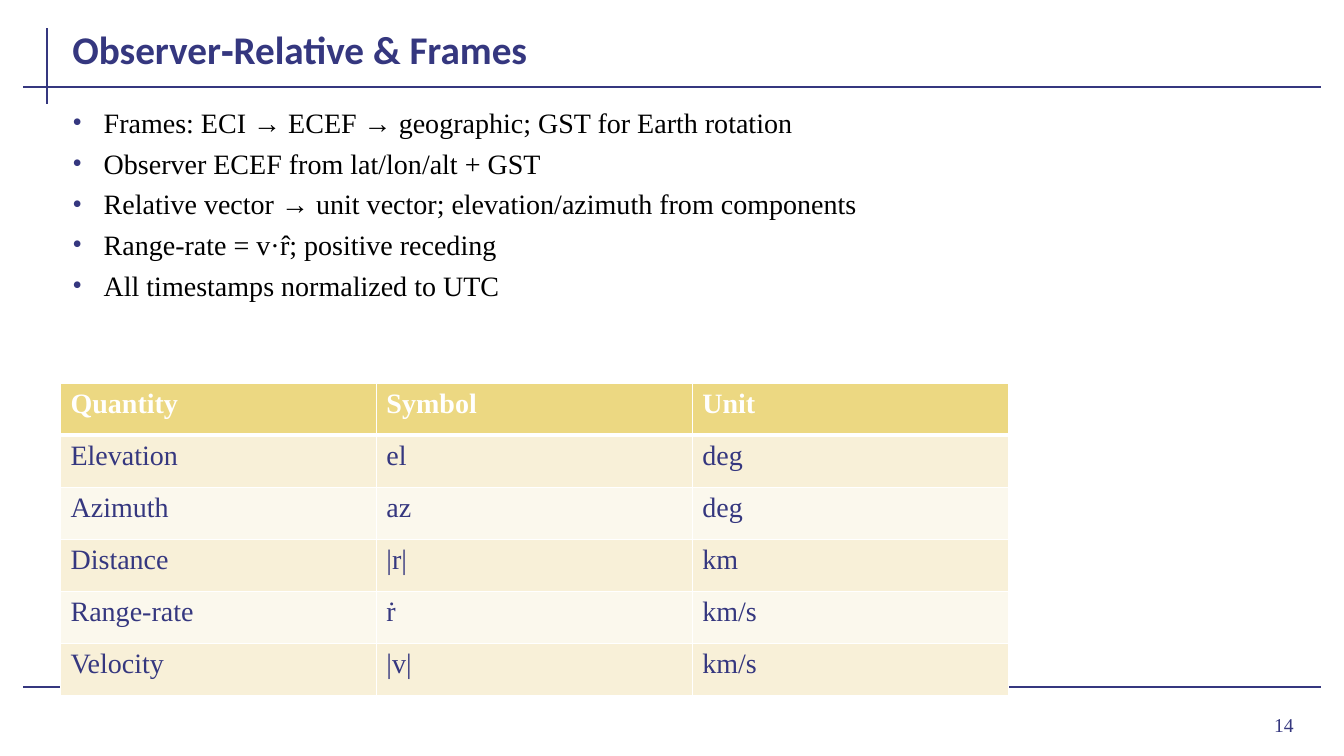
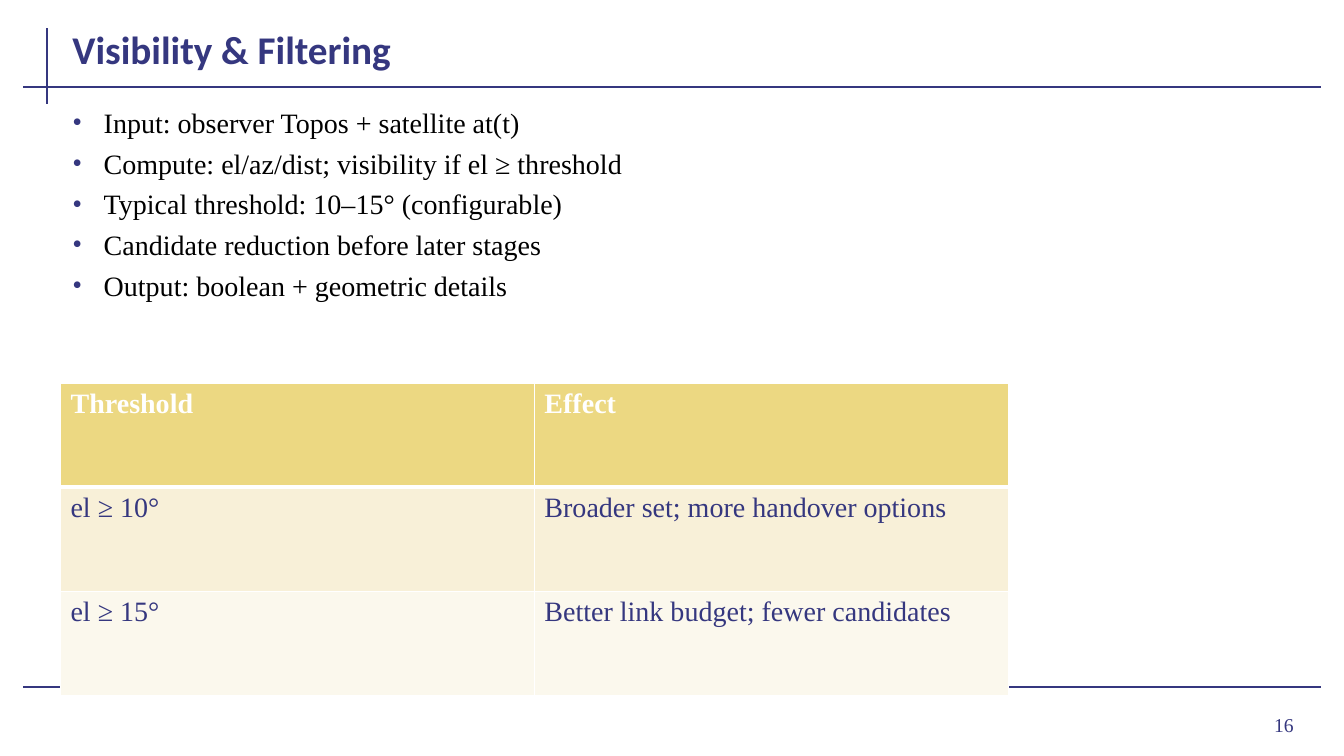
from dataclasses import dataclass

from lxml import etree
from pptx import Presentation
from pptx.dml.color import RGBColor
from pptx.enum.shapes import MSO_CONNECTOR
from pptx.enum.text import MSO_ANCHOR, PP_ALIGN
from pptx.oxml.ns import qn
from pptx.util import Inches, Pt

NAVY = RGBColor(0x35, 0x37, 0x7F)
BLACK = RGBColor(0x00, 0x00, 0x00)
WHITE = RGBColor(0xFF, 0xFF, 0xFF)
GOLD = RGBColor(0xEC, 0xD8, 0x82)
SAND = RGBColor(0xF8, 0xF0, 0xD8)
CREAM = RGBColor(0xFB, 0xF8, 0xED)

SANS, SERIF = "Calibri", "Times New Roman"
STRAIGHT = MSO_CONNECTOR.STRAIGHT
TOP, MIDDLE, BOTTOM = MSO_ANCHOR.TOP, MSO_ANCHOR.MIDDLE, MSO_ANCHOR.BOTTOM
LEFT, RIGHT = PP_ALIGN.LEFT, PP_ALIGN.RIGHT

WIDE, HIGH = 13.33, 7.5
INDENT = 0.31
TABLE = (0.6, 3.8, 9.4, 3.1)


@dataclass(frozen=True)
class Style:
    font: str
    size: int
    color: RGBColor
    bold: bool = False


@dataclass(frozen=True)
class Rule:
    x1: float
    y1: float
    x2: float
    y2: float


@dataclass(frozen=True)
class Box:
    left: float
    top: float
    width: float
    height: float
    style: Style
    anchor: MSO_ANCHOR = TOP
    align: PP_ALIGN = LEFT
    bullet: bool = False


@dataclass(frozen=True)
class Page:
    number: int
    title: str
    points: list[str]
    rows: list[list[str]]


HEAD = Style(SERIF, 20, WHITE, bold=True)
CELL = Style(SERIF, 20, NAVY)

RULES = [
    Rule(0.47, 0.28, 0.47, 1.03),
    Rule(0.23, 0.86, 13.1, 0.86),
    Rule(0.23, 6.82, 13.1, 6.82),
]
NUMBER = Box(11.96, 6.93, 0.97, 0.52, Style(SERIF, 14, NAVY), MIDDLE, RIGHT)
TITLE = Box(0.62, 0.15, 12.49, 0.62, Style(SANS, 28, NAVY, bold=True), BOTTOM)
BODY = Box(0.62, 1, 12.49, 5.68, Style(SERIF, 20, BLACK), bullet=True)

PAGES = [
    Page(
        14,
        "Observer‑Relative & Frames",
        [
            "Frames: ECI → ECEF → geographic; GST for Earth rotation",
            "Observer ECEF from lat/lon/alt + GST",
            "Relative vector → unit vector; elevation/azimuth from components",
            "Range‑rate = v·r̂; positive receding",
            "All timestamps normalized to UTC",
        ],
        [
            ["Quantity", "Symbol", "Unit"],
            ["Elevation", "el", "deg"],
            ["Azimuth", "az", "deg"],
            ["Distance", "|r|", "km"],
            ["Range‑rate", "ṙ", "km/s"],
            ["Velocity", "|v|", "km/s"],
        ],
    ),
    Page(
        16,
        "Visibility & Filtering",
        [
            "Input: observer Topos + satellite at(t)",
            "Compute: el/az/dist; visibility if el ≥ threshold",
            "Typical threshold: 10–15° (configurable)",
            "Candidate reduction before later stages",
            "Output: boolean + geometric details",
        ],
        [
            ["Threshold", "Effect"],
            ["el ≥ 10°", "Broader set; more handover options"],
            ["el ≥ 15°", "Better link budget; fewer candidates"],
        ],
    ),
]


def add_run(para, text: str, style: Style) -> None:
    run = para.add_run()
    run.text = text
    font = run.font
    font.name, font.size, font.bold = style.font, Pt(style.size), style.bold
    font.color.rgb = style.color


def add_bullet(para) -> None:
    """Give the paragraph a navy dot and a hanging indent."""
    props = para._p.get_or_add_pPr()
    props.set("marL", str(Inches(INDENT)))
    props.set("indent", str(-Inches(INDENT)))
    color = etree.SubElement(props, qn("a:buClr"))
    etree.SubElement(color, qn("a:srgbClr"), val=str(NAVY))
    etree.SubElement(props, qn("a:buFont"), typeface=SERIF)
    etree.SubElement(props, qn("a:buChar"), char="•")


def add_rule(slide, rule: Rule) -> None:
    ends = (Inches(n) for n in (rule.x1, rule.y1, rule.x2, rule.y2))
    line = slide.shapes.add_connector(STRAIGHT, *ends)
    line.line.color.rgb = NAVY
    line.line.width = Pt(1.5)
    etree.SubElement(line._element.spPr, qn("a:effectLst"))


def add_text(slide, box: Box, lines: list[str]) -> None:
    place = (Inches(n) for n in (box.left, box.top, box.width, box.height))
    frame = slide.shapes.add_textbox(*place).text_frame
    frame.word_wrap = True
    frame.vertical_anchor = box.anchor
    for i, text in enumerate(lines):
        para = frame.add_paragraph() if i else frame.paragraphs[0]
        if box.bullet:
            add_bullet(para)
        para.alignment = box.align
        para.space_before = Pt(5 if i else 0)
        add_run(para, text, box.style)


def add_borders(cell, top: float, bottom: float) -> None:
    props = cell._tc.get_or_add_tcPr()
    for side, width in (("L", 1), ("R", 1), ("T", top), ("B", bottom)):
        edge = etree.SubElement(props, qn(f"a:ln{side}"), w=str(Pt(width)))
        fill = etree.SubElement(edge, qn("a:solidFill"))
        etree.SubElement(fill, qn("a:srgbClr"), val=str(WHITE))


def add_grid(slide, rows: list[list[str]]) -> None:
    """Add a table with a gold head and banded rows of equal height."""
    place = (Inches(n) for n in TABLE)
    table = slide.shapes.add_table(len(rows), len(rows[0]), *place).table
    for r, row in enumerate(rows):
        fill = GOLD if r == 0 else SAND if r % 2 else CREAM
        for c, text in enumerate(row):
            cell = table.cell(r, c)
            add_borders(cell, top=3 if r == 1 else 1, bottom=1 if r else 3)
            cell.fill.solid()
            cell.fill.fore_color.rgb = fill
            add_run(cell.text_frame.paragraphs[0], text, CELL if r else HEAD)


def add_page(deck, page: Page) -> None:
    slide = deck.slides.add_slide(deck.slide_layouts[6])
    for rule in RULES:
        add_rule(slide, rule)
    add_text(slide, NUMBER, [str(page.number)])
    add_text(slide, TITLE, [page.title])
    add_text(slide, BODY, page.points)
    add_grid(slide, page.rows)


def main() -> None:
    deck = Presentation()
    deck.slide_width, deck.slide_height = Inches(WIDE), Inches(HIGH)
    for page in PAGES:
        add_page(deck, page)
    deck.save("out.pptx")


if __name__ == "__main__":
    main()
